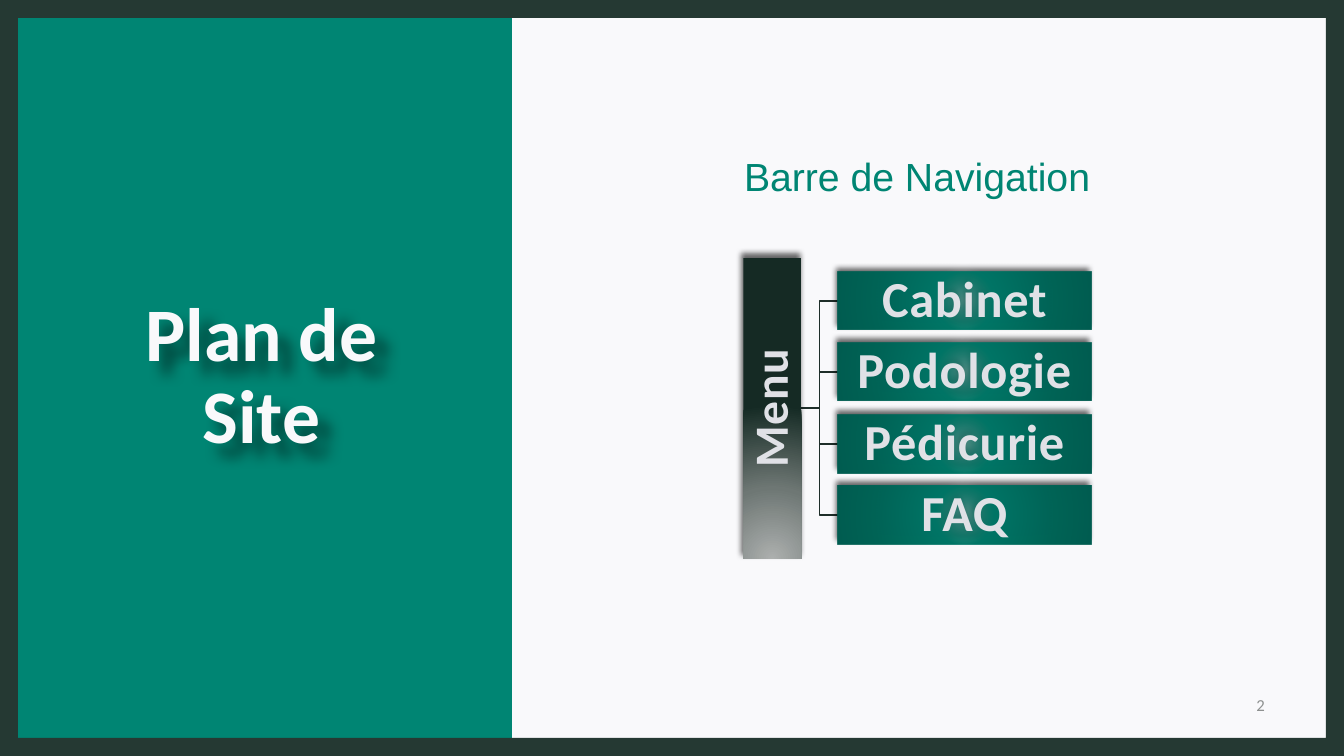
from lxml.etree import SubElement
from pptx import Presentation
from pptx.dml.color import RGBColor
from pptx.enum.shapes import MSO_CONNECTOR as Connector, MSO_SHAPE as Preset
from pptx.enum.text import MSO_ANCHOR as Anchor, MSO_AUTO_SIZE as AutoSize, PP_ALIGN as Align
from pptx.oxml.ns import qn
from pptx.util import Emu, Pt

PAPER = RGBColor(0xF9, 0xF9, 0xFB)
GREEN = RGBColor(0x00, 0x85, 0x73)
DARK = RGBColor(0x25, 0x39, 0x33)
LINE = RGBColor(0x1E, 0x2E, 0x29)
LABEL = RGBColor(0xE0, 0xE1, 0xE6)
GREY = RGBColor(0x8E, 0x91, 0x90)
BLACK = RGBColor(0x00, 0x00, 0x00)

# Gradient stops: position %, colour, opacity %
MENU_STOPS = [(0, RGBColor(0xAC, 0xAF, 0xAE), 100),
              (46, RGBColor(0x6E, 0x77, 0x74), 100),
              (100, RGBColor(0x15, 0x2A, 0x24), 100)]
PAGE_STOPS = [(0, RGBColor(0x00, 0x76, 0x66), 50),
              (23, RGBColor(0x00, 0x76, 0x66), 100),
              (69, RGBColor(0x00, 0x64, 0x56), 100),
              (97, RGBColor(0x00, 0x5D, 0x51), 100)]


def px(value):
    return Emu(round(value * 914400 / 100.8))


def add_colour(parent, colour, opacity):
    element = SubElement(parent, qn("a:srgbClr"), val=str(colour))
    SubElement(element, qn("a:alpha"), val=str(opacity * 1000))


class SlideBuilder:
    def __init__(self, presentation):
        self.font = "Calibri"
        self.slide = presentation.slides.add_slide(presentation.slide_layouts[1])
        self.slide.background.fill.solid()
        self.slide.background.fill.fore_color.rgb = PAPER

    def block(self, preset, left, top, width, height, colour=None):
        shape = self.slide.shapes.add_shape(preset, px(left), px(top), px(width), px(height))
        shape.shadow.inherit = False
        shape.line.fill.background()
        if colour is not None:
            shape.fill.solid()
            shape.fill.fore_color.rgb = colour
        return shape

    def set_text(self, shape, text, align=Align.CENTER, anchor=Anchor.MIDDLE, inset=None,
                 tracking=0, **font):
        frame = shape.text_frame
        values = {"word_wrap": True, "auto_size": AutoSize.NONE, "vertical_anchor": anchor}
        if inset is not None:
            sides = ("left", "top", "right", "bottom")
            values.update({f"margin_{side}": px(inset) for side in sides})
        for name, value in values.items():
            setattr(frame, name, value)
        frame.text = text
        paragraph = frame.paragraphs[0]
        spacing = {"alignment": align, "line_spacing": 0.9, "space_before": Pt(0)}
        for name, value in spacing.items():
            setattr(paragraph, name, value)
        run = paragraph.runs[0]
        run.font.color.rgb = font.pop("colour")
        for name, value in {"name": self.font, **font}.items():
            setattr(run.font, name, value)
        if tracking:
            run.font._element.set("spc", str(tracking))

    def placeholder(self, index, left, top, width, height, text, **style):
        shape = self.slide.placeholders[index]
        box = {"left": left, "top": top, "width": width, "height": height}
        for name, value in box.items():
            setattr(shape, name, px(value))
        shape.element.getparent().append(shape.element)  # bring to front
        self.set_text(shape, text, **style)
        return shape

    def text_box(self, left, top, width, height, text, **style):
        shape = self.slide.shapes.add_textbox(px(left), px(top), px(width), px(height))
        self.set_text(shape, text, **style)

    def shadow(self, shape, opacity, blur, distance, angle):
        properties = shape.element.spPr
        effects = properties.find(qn("a:effectLst"))
        if effects is None:
            effects = SubElement(properties, qn("a:effectLst"))
        outer = SubElement(effects, qn("a:outerShdw"), blurRad=str(Pt(blur)),
                           dist=str(Pt(distance)), dir=str(angle * 60000),
                           algn="ctr", rotWithShape="0")
        add_colour(outer, BLACK, opacity)

    def radial_fill(self, shape, stops, centre_y):
        shape.fill.gradient()
        gradient = shape.element.spPr.find(qn("a:gradFill"))
        for child in list(gradient):
            gradient.remove(child)
        gradient.set("rotWithShape", "0")
        stop_list = SubElement(gradient, qn("a:gsLst"))
        for position, colour, opacity in stops:
            stop = SubElement(stop_list, qn("a:gs"), pos=str(position * 1000))
            add_colour(stop, colour, opacity)
        radial = SubElement(gradient, qn("a:path"), path="circle")
        SubElement(radial, qn("a:fillToRect"), l="50000", r="50000",
                   t=str(centre_y * 1000), b=str((100 - centre_y) * 1000))

    def node(self, left, top, width, height, text, size, stops, centre_y=50, rotation=0):
        shape = self.block(Preset.RECTANGLE, left, top, width, height)
        shape.rotation = rotation
        self.radial_fill(shape, stops, centre_y)
        self.shadow(shape, 60, 4.2, 3.2, 245)
        self.set_text(shape, text, inset=3, tracking=50, size=Pt(size), bold=True, colour=LABEL)

    def elbow(self, start_x, start_y, end_x, end_y):
        connector = self.slide.shapes.add_connector(
            Connector.ELBOW, px(start_x), px(start_y), px(end_x), px(end_y))
        connector.line.color.rgb = LINE
        connector.line.width = Pt(1)
        SubElement(connector.element.spPr, qn("a:effectLst"))


def main():
    presentation = Presentation()
    presentation.slide_width, presentation.slide_height = px(1344), px(756)
    builder = SlideBuilder(presentation)

    # Side panel and frame
    builder.block(Preset.RECTANGLE, 0, 0, 512, 756, GREEN)
    frame = builder.block(Preset.FRAME, 0, 0, 1344, 756, DARK)
    frame.adjustments[0] = 18 / 756

    # Title, heading and slide number
    title = builder.placeholder(0, 71, 321, 381, 114, "Plan de Site",
                                size=Pt(54), bold=True, colour=PAPER)
    builder.shadow(title, 50, 10, 13, 45)
    heading = builder.placeholder(1, 681, 153, 472, 55, "Barre de Navigation",
                                  anchor=Anchor.TOP, name="Arial", size=Pt(28), colour=GREEN)
    properties = heading.text_frame.paragraphs[0]._p.get_or_add_pPr()
    properties.set("marL", "0")
    properties.set("indent", "0")
    SubElement(properties, qn("a:buNone"))
    builder.text_box(1217, 687, 58, 38, "2", align=Align.RIGHT, size=Pt(12), colour=GREY)

    # Menu tree: connectors first, then the nodes
    pages = ["Cabinet", "Podologie", "Pédicurie", "FAQ"]
    page_left, page_height, middle = 838, 58, 408
    tops = [272 + 143 * row // 2 for row in range(len(pages))]
    for top in tops:
        builder.elbow(801, middle, page_left, top + page_height // 2)
    builder.node(622, middle - 29, 301, 58, "Menu", 34, MENU_STOPS, centre_y=155, rotation=270)
    for page, top in zip(pages, tops):
        builder.node(page_left, top, 253, page_height, page, 36, PAGE_STOPS)

    presentation.save("out.pptx")


if __name__ == "__main__":
    main()
